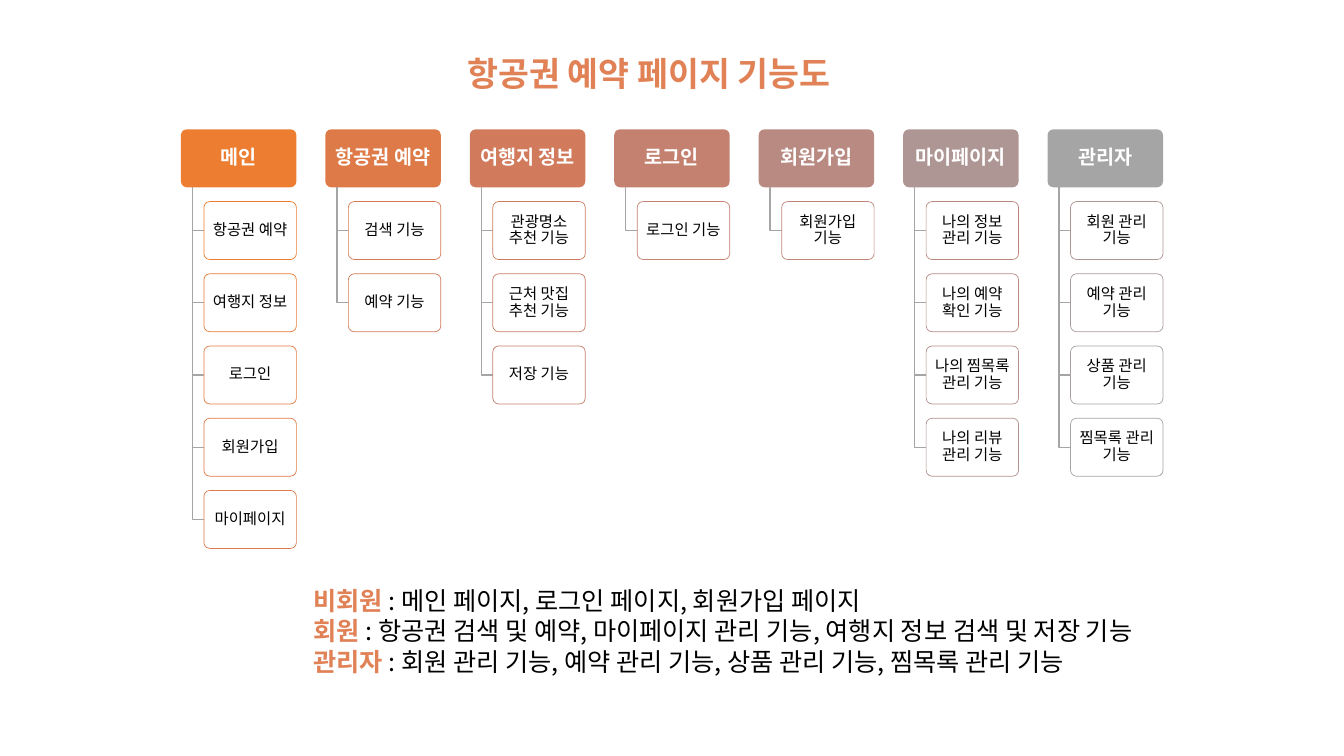
"""Draw the function map of a flight booking site: seven menus, their functions and user roles."""
from colorsys import hls_to_rgb, rgb_to_hls
from itertools import count

from lxml.etree import SubElement
from pptx import Presentation
from pptx.dml.color import RGBColor
from pptx.enum.shapes import MSO_SHAPE as SHAPE
from pptx.enum.text import MSO_ANCHOR as ANCHOR, MSO_AUTO_SIZE as AUTO, PP_ALIGN as ALIGN
from pptx.oxml.ns import qn
from pptx.util import Cm, Pt

FONT = "Noto Sans CJK KR"
ORANGE = RGBColor(0xED, 0x7D, 0x31)
GRAY = RGBColor(0xA5, 0xA5, 0xA5)
ACCENT = RGBColor(0xE0, 0x81, 0x56)
WHITE = RGBColor(0xFF, 0xFF, 0xFF)
BLACK = RGBColor(0x00, 0x00, 0x00)

LEFT, TOP = 4.56, 3.26
COL_PITCH, ROW_PITCH = 3.64, 1.82
MENU_W, BOX_H = 2.91, 1.46
INDENT, SPINE = 0.58, 0.29

MENUS = [
    ("메인", ["항공권 예약", "여행지 정보", "로그인", "회원가입", "마이페이지"]),
    ("항공권 예약", ["검색 기능", "예약 기능"]),
    ("여행지 정보", ["관광명소 추천 기능", "근처 맛집 추천 기능", "저장 기능"]),
    ("로그인", ["로그인 기능"]),
    ("회원가입", ["회원가입 기능"]),
    ("마이페이지", ["나의 정보 관리 기능", "나의 예약 확인 기능",
               "나의 찜목록 관리 기능", "나의 리뷰 관리 기능"]),
    ("관리자", ["회원 관리 기능", "예약 관리 기능", "상품 관리 기능", "찜목록 관리 기능"]),
]
ROLES = [
    ("비회원 ", ": 메인 페이지, 로그인 페이지, 회원가입 페이지"),
    ("회원 ", ": 항공권 검색 및 예약, 마이페이지 관리 기능, 여행지 정보 검색 및 저장 기능"),
    ("관리자 ", ": 회원 관리 기능, 예약 관리 기능, 상품 관리 기능, 찜목록 관리 기능"),
]


def blend(t):
    """Mix orange into gray along the HLS scale."""
    start, end = (rgb_to_hls(*(v / 255 for v in c)) for c in (ORANGE, GRAY))
    mixed = hls_to_rgb(*(a + (b - a) * t for a, b in zip(start, end)))
    return RGBColor(*(round(v * 255) for v in mixed))


def set_font(font, size, color, bold=False):
    """Style a font for both Latin and Korean letters."""
    font.name, font.size, font.bold = FONT, Pt(size), bold
    font.color.rgb = color
    SubElement(font._element, qn("a:ea"), typeface=FONT)


prs = Presentation()
prs.slide_width, prs.slide_height = Cm(33.87), Cm(19.05)
s = prs.slides.add_slide(prs.slide_layouts[6])

last = sum(len(functions) for _, functions in MENUS) - 1
order = count()
for col, (menu, functions) in enumerate(MENUS):
    x = LEFT + col * COL_PITCH
    for row, label in enumerate([menu, *functions]):
        y = TOP + row * ROW_PITCH
        indent = INDENT if row else 0
        if row:
            path = s.shapes.build_freeform(Cm(x + SPINE), Cm(TOP + BOX_H), scale=1.0)
            path.add_line_segments([(Cm(x + SPINE), Cm(y + BOX_H / 2)),
                                    (Cm(x + INDENT), Cm(y + BOX_H / 2))], close=False)
            sp = path.convert_to_shape()
            sp.shadow.inherit = False
            sp.fill.background()
            sp.line.color.rgb, sp.line.width = GRAY, Pt(1)

        sp = s.shapes.add_shape(SHAPE.ROUNDED_RECTANGLE, Cm(x + indent), Cm(y),
                                Cm(MENU_W - indent), Cm(BOX_H))
        sp.adjustments[0] = 0.1
        sp.shadow.inherit = False
        sp.fill.solid()
        tf = sp.text_frame
        tf.word_wrap, tf.vertical_anchor = True, ANCHOR.MIDDLE
        tf.margin_left = tf.margin_right = tf.margin_top = tf.margin_bottom = Cm(0.1)
        p = tf.paragraphs[0]
        p.text, p.alignment, p.line_spacing = label, ALIGN.CENTER, 0.9
        if row:
            sp.fill.fore_color.rgb = WHITE
            rgb = sp.fill._xPr.find(".//" + qn("a:srgbClr"))
            SubElement(rgb, qn("a:alpha"), val="90000")
            sp.line.color.rgb, sp.line.width = blend(next(order) / last), Pt(0.5)
            set_font(p.font, 11, BLACK)
        else:
            sp.fill.fore_color.rgb = blend(col / (len(MENUS) - 1))
            sp.line.fill.background()
            set_font(p.font, 14, WHITE, True)

title = s.shapes.add_textbox(Cm(11.53), Cm(1.22), Cm(10.82), Cm(1.27))
title.text_frame.word_wrap, title.text_frame.auto_size = False, AUTO.SHAPE_TO_FIT_TEXT
p = title.text_frame.paragraphs[0]
p.text = "항공권 예약 페이지 기능도"
set_font(p.font, 24, ACCENT, True)

roles = s.shapes.add_textbox(Cm(7.65), Cm(14.63), Cm(24), Cm(2.57))
tf = roles.text_frame
tf.word_wrap, tf.auto_size = False, AUTO.SHAPE_TO_FIT_TEXT
for i, (role, pages) in enumerate(ROLES):
    p = tf.add_paragraph() if i else tf.paragraphs[0]
    for text, color, bold in [(role, ACCENT, True), (pages, BLACK, False)]:
        r = p.add_run()
        r.text = text
        set_font(r.font, 18, color, bold)

prs.save("out.pptx")
